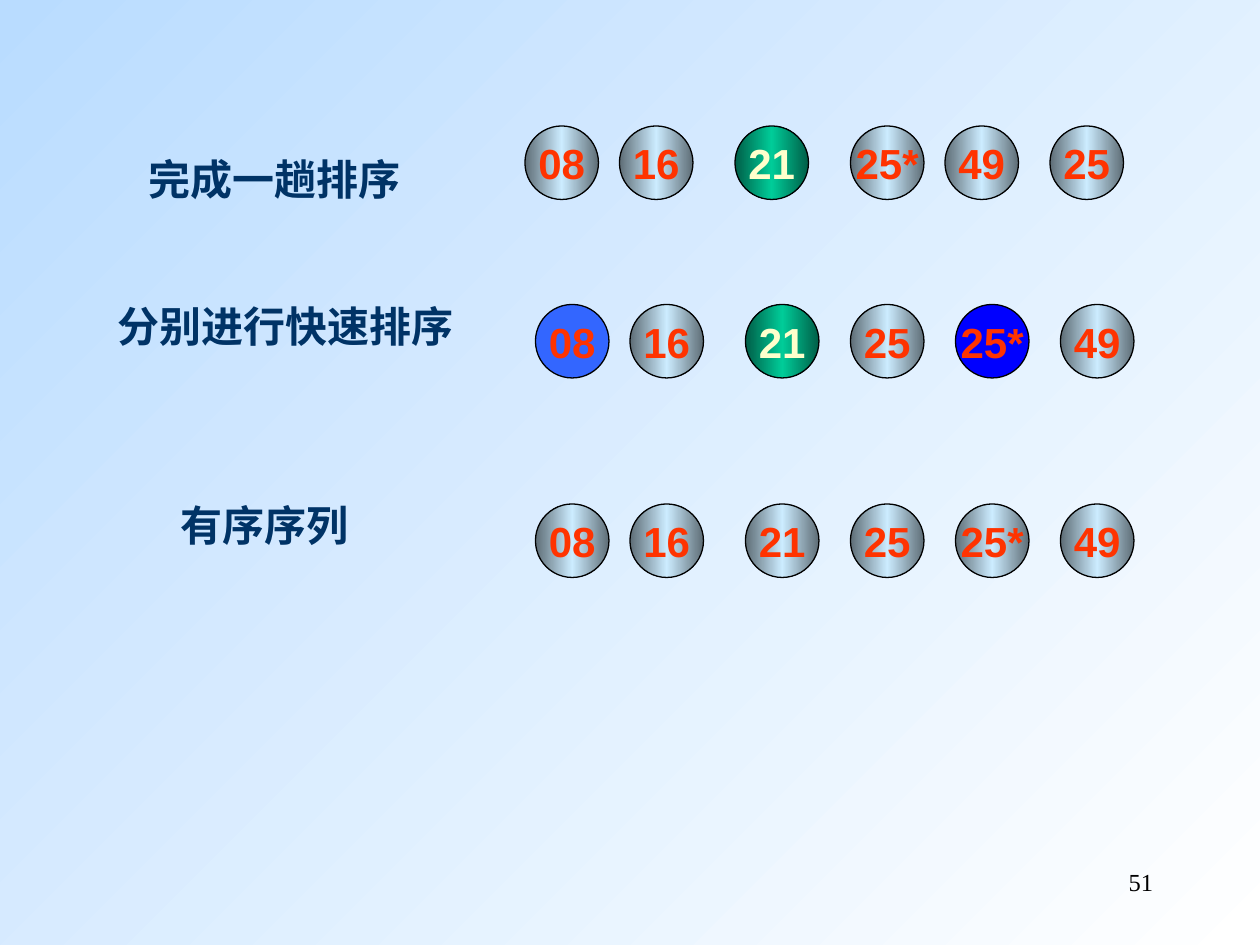
from copy import deepcopy
from dataclasses import dataclass, field

from pptx import Presentation
from pptx.dml import color as dml_color
from pptx.enum import shapes, text
from pptx.util import Pt

COLORS = {
    "sky": "B9DCFF", "white": "FFFFFF", "black": "000000", "navy": "003366",
    "steel": "5E6D76", "ice": "CCECFF", "forest": "005E47", "jade": "00CC99",
    "azure": "3366FF", "blue": "0000FF", "orange": "FF3300", "cream": "FFFFCC",
}
DIAMETER = 42
LABEL_HEIGHT = 36


@dataclass(frozen=True)
class BallStyle:
    fill: tuple[str, ...]
    font: str = "orange"


PLAIN = BallStyle(("steel", "ice", "steel"))
PIVOT = BallStyle(("forest", "jade", "forest"), "cream")
LEFT_PART = BallStyle(("azure",))
RIGHT_PART = BallStyle(("blue",))


@dataclass(frozen=True)
class SortStep:
    label: str
    label_left: float
    label_top: float
    label_width: float
    top: float
    lefts: tuple[float, ...]
    values: tuple[str, ...]
    styles: dict[str, BallStyle] = field(default_factory=dict)


FIRST_LEFTS = (300, 354, 420, 486, 540, 600)
SORTED_LEFTS = (306, 360, 426, 486, 546, 606)
SORTED_VALUES = ("08", "16", "21", "25", "25*", "49")
STEPS = (
    SortStep("完成一趟排序", 78, 84, 162, 72, FIRST_LEFTS,
             ("08", "16", "21", "25*", "49", "25"), {"21": PIVOT}),
    SortStep("分别进行快速排序", 60, 168, 210, 174, SORTED_LEFTS, SORTED_VALUES,
             {"08": LEFT_PART, "21": PIVOT, "25*": RIGHT_PART}),
    SortStep("有序序列", 96, 282, 120, 288, SORTED_LEFTS, SORTED_VALUES),
)


def rgb(name: str) -> dml_color.RGBColor:
    return dml_color.RGBColor.from_string(COLORS[name])


def paint(owner, fill, names: tuple[str, ...], angle: float = 0) -> None:
    """Fill with one solid colour, or with evenly spaced gradient stops."""
    if len(names) == 1:
        fill.solid()
        fill.fore_color.rgb = rgb(names[0])
        return
    fill.gradient()
    fill.gradient_angle = angle
    stop_list = owner.xpath(".//a:gsLst")[0]
    for _ in names[2:]:
        stop_list.insert(1, deepcopy(stop_list[0]))
    for index, (stop, name) in enumerate(zip(fill.gradient_stops, names)):
        stop.position = index / (len(names) - 1)
        stop.color.rgb = rgb(name)


def write(frame, content: str, font_name: str, size: float, color: str,
          bold: bool = True, align=text.PP_ALIGN.LEFT) -> None:
    paragraph = frame.paragraphs[0]
    paragraph.text = content
    paragraph.alignment = align
    paragraph.font.name = font_name
    paragraph.font.size = Pt(size)
    paragraph.font.bold = bold
    paragraph.font.color.rgb = rgb(color)


def add_ball(slide, left: float, top: float, value: str, style: BallStyle) -> None:
    ball = slide.shapes.add_shape(
        shapes.MSO_SHAPE.OVAL, Pt(left), Pt(top), Pt(DIAMETER), Pt(DIAMETER))
    ball.shadow.inherit = False
    paint(ball.element, ball.fill, style.fill)
    ball.line.color.rgb = rgb("black")
    ball.line.width = Pt(0.75)
    frame = ball.text_frame
    frame.word_wrap = False
    frame.vertical_anchor = text.MSO_ANCHOR.MIDDLE
    write(frame, value, "Arial", 24, style.font, align=text.PP_ALIGN.CENTER)


def add_text_frame(slide, left: float, top: float, width: float):
    box = slide.shapes.add_textbox(Pt(left), Pt(top), Pt(width), Pt(LABEL_HEIGHT))
    box.text_frame.word_wrap = True
    return box.text_frame


def add_step(slide, step: SortStep) -> None:
    frame = add_text_frame(slide, step.label_left, step.label_top, step.label_width)
    frame.auto_size = text.MSO_AUTO_SIZE.SHAPE_TO_FIT_TEXT
    write(frame, step.label, "Times New Roman", 24, "navy")
    for left, value in zip(step.lefts, step.values):
        add_ball(slide, left, step.top, value, step.styles.get(value, PLAIN))


def main() -> None:
    presentation = Presentation()
    presentation.slide_width, presentation.slide_height = Pt(720), Pt(540)
    slide = presentation.slides.add_slide(presentation.slide_layouts[6])
    background_fill = slide.background.fill
    paint(slide.element, background_fill, ("sky", "white"), angle=315)
    for step in STEPS:
        add_step(slide, step)
    page_number = add_text_frame(slide, 516, 492, 150)
    write(page_number, "51", "Times New Roman", 14, "black", bold=False,
          align=text.PP_ALIGN.RIGHT)
    presentation.save("out.pptx")


if __name__ == "__main__":
    main()
